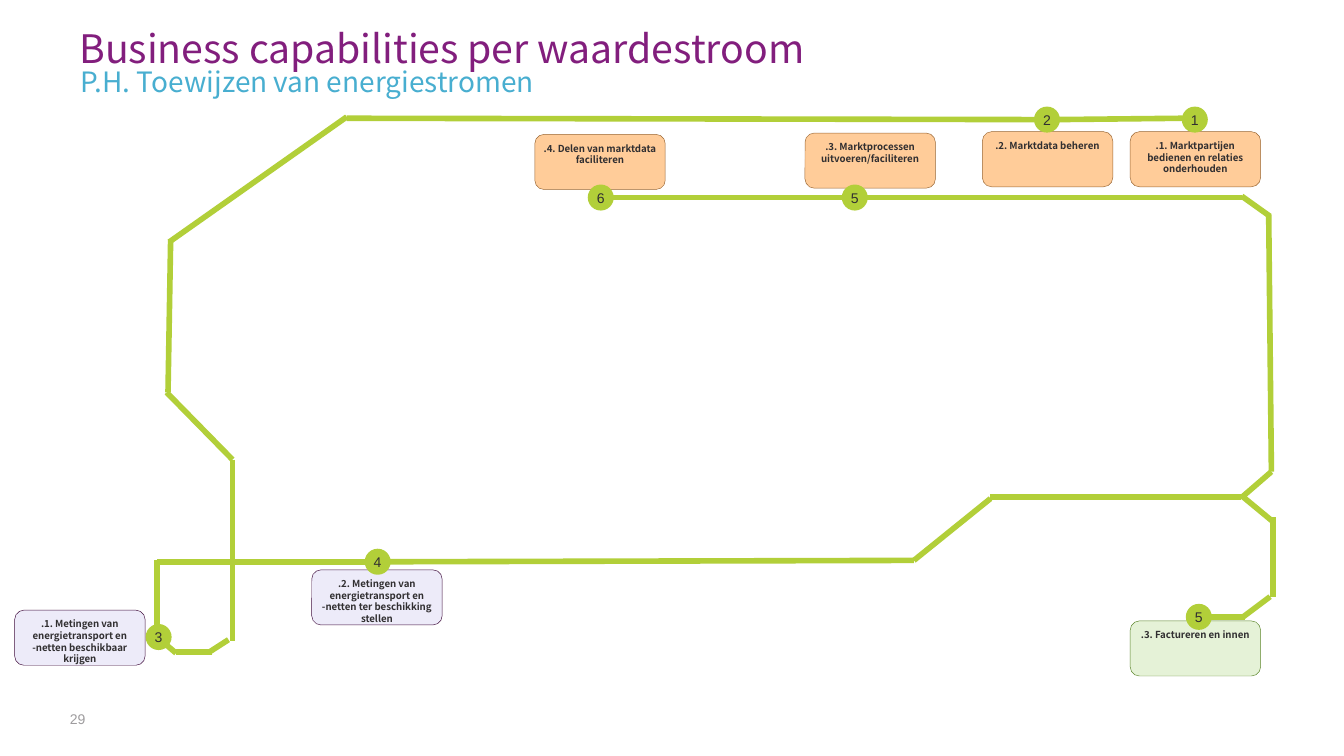
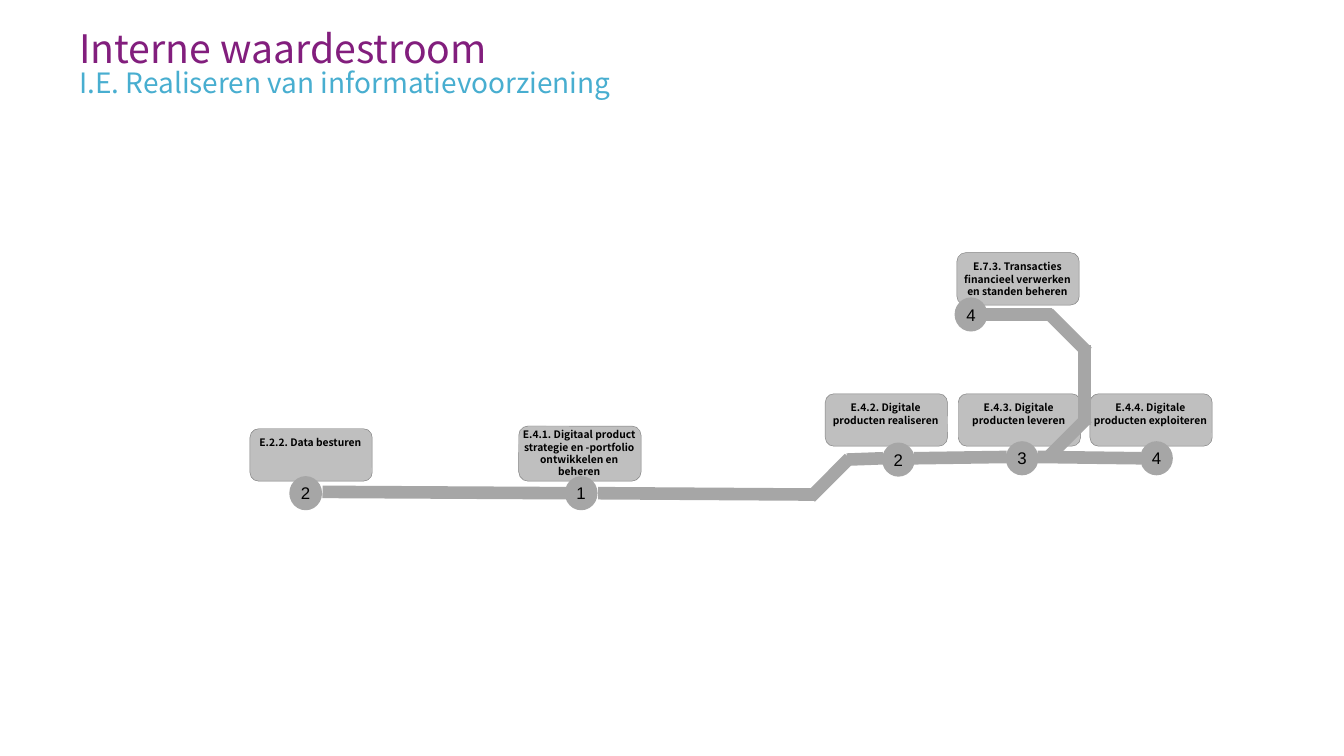
from dataclasses import dataclass
from itertools import pairwise

from lxml.etree import SubElement
from pptx import Presentation
from pptx.dml.color import RGBColor as Color
from pptx.enum.shapes import MSO_CONNECTOR as Connector, MSO_SHAPE as Preset
from pptx.enum.text import MSO_ANCHOR as Anchor, MSO_AUTO_SIZE as AutoSize, PP_ALIGN as Align
from pptx.oxml.ns import qn
from pptx.util import Inches, Pt


@dataclass(frozen=True)
class Theme:
    """Colours, fonts and type sizes of the presentation."""
    heading_font: str = "Noto Sans CJK TC"
    number_font: str = "Arial"
    title: str = "821E7D"
    subtitle: str = "48AED0"
    page_number: str = "9E9C9E"
    title_size: float = 21
    title_spacing: float = 28
    subtitle_size: float = 15
    subtitle_spacing: float = 1.2
    page_number_size: float = 7.5


@dataclass(frozen=True)
class MapStyle:
    """Look of one value stream map."""
    route: str
    route_width: float
    ink: str
    card_size: tuple
    card_text: float
    card_right_inset: float
    badge_size: tuple
    badge_text: float


THEME = Theme()
MARKET = ("FFCC99", "996633")
METERING = ("EDEBF9", "410F3E")
BILLING = ("E5F2D7", "5E872D")
INTERNAL = ("BFBFBF", "808080")
ENERGY = MapStyle("B2CF39", 3, "312F31", (0.97, 0.41), 5.2, 0, (0.18, 0.18), 7.5)
INFORMATION = MapStyle("A6A6A6", 6.75, "000000", (0.91, 0.39), 5.5, 0.01, (0.23, 0.24), 9)

ENERGY_CARDS = [
    (8.41, 0.98, MARKET, ".1. Marktpartijen bedienen en relaties onderhouden"),
    (7.31, 0.98, MARKET, ".2. Marktdata beheren"),
    (5.99, 0.99, MARKET, ".3. Marktprocessen uitvoeren/faciliteren"),
    (3.98, 1, MARKET, ".4. Delen van marktdata faciliteren"),
    (2.32, 4.24, METERING, ".2. Metingen van energietransport en -netten ter beschikking stellen"),
    (0.11, 4.54, METERING, ".1. Metingen van energietransport en -netten beschikbaar krijgen"),
    (8.41, 4.62, BILLING, ".3. Factureren en innen"),
]
ENERGY_ROUTES = [
    [(8.8, 0.88), (7.87, 0.89)],
    [(7.7, 0.89), (2.58, 0.88)],
    [(2.58, 0.87), (1.26, 1.8)],
    [(1.27, 1.78), (1.25, 2.92)],
    [(1.24, 2.92), (1.73, 3.42), (1.73, 4.77)],
    [(1.7, 4.76), (1.56, 4.85)],
    [(1.58, 4.85), (1.31, 4.85)],
    [(1.31, 4.86), (1.24, 4.8)],
    [(1.17, 4.65), (1.17, 4.17)],
    [(1.17, 4.18), (2.72, 4.18)],
    [(2.89, 4.18), (6.8, 4.17), (7.37, 3.71)],
    [(7.37, 3.7), (9.23, 3.7)],
    [(9.24, 3.7), (9.46, 3.51), (9.44, 1.6)],
    [(9.45, 1.61), (9.24, 1.46)],
    [(9.24, 1.47), (6.45, 1.47)],
    [(6.27, 1.47), (4.56, 1.47)],
    [(9.24, 3.69), (9.47, 3.88)],
    [(9.47, 3.85), (9.47, 4.44)],
    [(9.45, 4.44), (9.25, 4.59)],
    [(9.26, 4.59), (9.01, 4.59)],
]
ENERGY_BADGES = [
    (8.8, 0.8, "1"), (7.7, 0.8, "2"), (1.09, 4.65, "3"), (2.72, 4.09, "4"),
    (8.83, 4.5, "5"), (6.27, 1.38, "5"), (4.38, 1.38, "6"),
]

INFORMATION_CARDS = [
    (7.12, 1.88, INTERNAL, "E.7.3. Transacties financieel verwerken en standen beheren"),
    (1.86, 3.19, INTERNAL, "E.2.2. Data besturen"),
    (6.14, 2.93, INTERNAL, "E.4.2. Digitale producten realiseren"),
    (7.13, 2.93, INTERNAL, "E.4.3. Digitale producten leveren"),
    (8.11, 2.93, INTERNAL, "E.4.4. Digitale producten exploiteren"),
]
PORTFOLIO_CARD = (3.86, 3.17, INTERNAL,
                  "E.4.1. Digitaal product strategie en -portfolio ontwikkelen en beheren")
INFORMATION_ROUTES = [
    [(8.49, 3.41), (7.72, 3.4)],
    [(7.49, 3.4), (6.8, 3.41)],
    [(4.21, 3.67), (2.4, 3.66)],
    [(6.07, 3.68), (4.45, 3.67)],
    [(6.03, 3.7), (6.32, 3.41)],
    [(6.57, 3.41), (6.3, 3.42)],
    [(7.8, 3.4), (8.09, 3.11)],
    [(7.8, 2.33), (8.09, 2.62)],
    [(7.83, 2.34), (7.34, 2.34)],
    [(8.07, 3.16), (8.07, 2.57)],
]
INFORMATION_BADGES = [
    (4.21, 3.55, "1"), (7.49, 3.29, "3"), (6.57, 3.3, "2"),
    (7.11, 2.22, "4"), (2.16, 3.55, "2"), (8.49, 3.29, "4"),
]


def apply_format(target, values):
    """Set each named attribute of the target."""
    for name, value in values.items():
        setattr(target, name, value)


def write_text(shape, text, font, size, color, bold=False, align=Align.LEFT,
               anchor=Anchor.TOP, spacing=None, insets=(0, 0, 0, 0)):
    """Put one formatted paragraph in a shape, with left, top, right and bottom insets."""
    frame = shape.text_frame
    sides = ("margin_left", "margin_top", "margin_right", "margin_bottom")
    apply_format(frame, dict(zip(sides, map(Inches, insets))))
    apply_format(frame, {"word_wrap": True, "auto_size": AutoSize.NONE,
                         "vertical_anchor": anchor})
    paragraph = frame.paragraphs[0]
    run = paragraph.add_run()
    run.text = text
    apply_format(paragraph, {"alignment": align, "line_spacing": spacing})
    apply_format(run.font, {"name": font, "size": Pt(size), "bold": bold})
    run.font.color.rgb = Color.from_string(color)


def add_box(slide, left, top, width, height):
    """Add an empty text box."""
    return slide.shapes.add_textbox(*map(Inches, (left, top, width, height)))


def add_filled(slide, preset, place, size, fill, line, line_width):
    """Add a flat preset shape with a fill and an outline."""
    shape = slide.shapes.add_shape(preset, *map(Inches, (*place, *size)))
    shape.shadow.inherit = False
    shape.fill.solid()
    shape.fill.fore_color.rgb = Color.from_string(fill)
    shape.line.color.rgb = Color.from_string(line)
    shape.line.width = Pt(line_width)
    return shape


def add_card(slide, style, card, extra_height=0, top_inset=0.04):
    """Add a rounded card that names a capability."""
    left, top, (fill, line), text = card
    width, height = style.card_size
    shape = add_filled(slide, Preset.ROUNDED_RECTANGLE, (left, top),
                       (width, height + extra_height), fill, line, 0.25)
    write_text(shape, text, THEME.heading_font, style.card_text, style.ink,
               bold=True, align=Align.CENTER,
               insets=(0, top_inset, style.card_right_inset, 0.04))


def add_badge(slide, style, badge):
    """Add a numbered stop."""
    left, top, number = badge
    shape = add_filled(slide, Preset.OVAL, (left, top), style.badge_size,
                       style.route, style.route, 1)
    write_text(shape, number, THEME.number_font, style.badge_text, style.ink,
               align=Align.CENTER, anchor=Anchor.MIDDLE)


def add_route(slide, style, points):
    """Join successive points with straight connectors."""
    for start, end in pairwise(points):
        connector = slide.shapes.add_connector(
            Connector.STRAIGHT, *map(Inches, (*start, *end)))
        connector.line.color.rgb = Color.from_string(style.route)
        connector.line.width = Pt(style.route_width)
        SubElement(connector._element.spPr, qn("a:effectLst"))


def add_map(slide, style, cards, routes, badges):
    """Draw the cards, the routes and the stops of a value stream."""
    for card in cards:
        add_card(slide, style, card)
    for points in routes:
        add_route(slide, style, points)
    for badge in badges:
        add_badge(slide, style, badge)


def add_titled_slide(presentation, title, subtitle, subtitle_place):
    """Add a slide with a title and a subtitle."""
    slide = presentation.slides.add_slide(presentation.slide_layouts[5])
    heading = slide.shapes.title
    apply_format(heading, {"left": Inches(0.59), "top": Inches(0.14),
                           "width": Inches(7.28), "height": Inches(0.39)})
    write_text(heading, title, THEME.heading_font, THEME.title_size, THEME.title,
               spacing=Pt(THEME.title_spacing))
    write_text(add_box(slide, *subtitle_place, 7.55, 0.22), subtitle, THEME.heading_font,
               THEME.subtitle_size, THEME.subtitle, spacing=THEME.subtitle_spacing)
    return slide


def add_page_number(slide, number):
    """Add the page number at the bottom left."""
    write_text(add_box(slide, 0.52, 5.29, 2.25, 0.3), number, THEME.number_font,
               THEME.page_number_size, THEME.page_number)


def main():
    """Build and save the presentation."""
    presentation = Presentation()
    apply_format(presentation, {"slide_width": Inches(10),
                                "slide_height": Inches(10) * 9 // 16})

    slide = add_titled_slide(presentation, "Business capabilities per waardestroom",
                             "P.H. Toewijzen van energiestromen", (0.6, 0.43))
    add_map(slide, ENERGY, ENERGY_CARDS, ENERGY_ROUTES, ENERGY_BADGES)
    add_page_number(slide, "29")

    slide = add_titled_slide(presentation, "Interne waardestroom",
                             "I.E. Realiseren van informatievoorziening", (0.59, 0.44))
    add_card(slide, INFORMATION, PORTFOLIO_CARD, extra_height=0.02, top_inset=0)
    add_map(slide, INFORMATION, INFORMATION_CARDS, INFORMATION_ROUTES, INFORMATION_BADGES)

    presentation.save("out.pptx")


if __name__ == "__main__":
    main()
